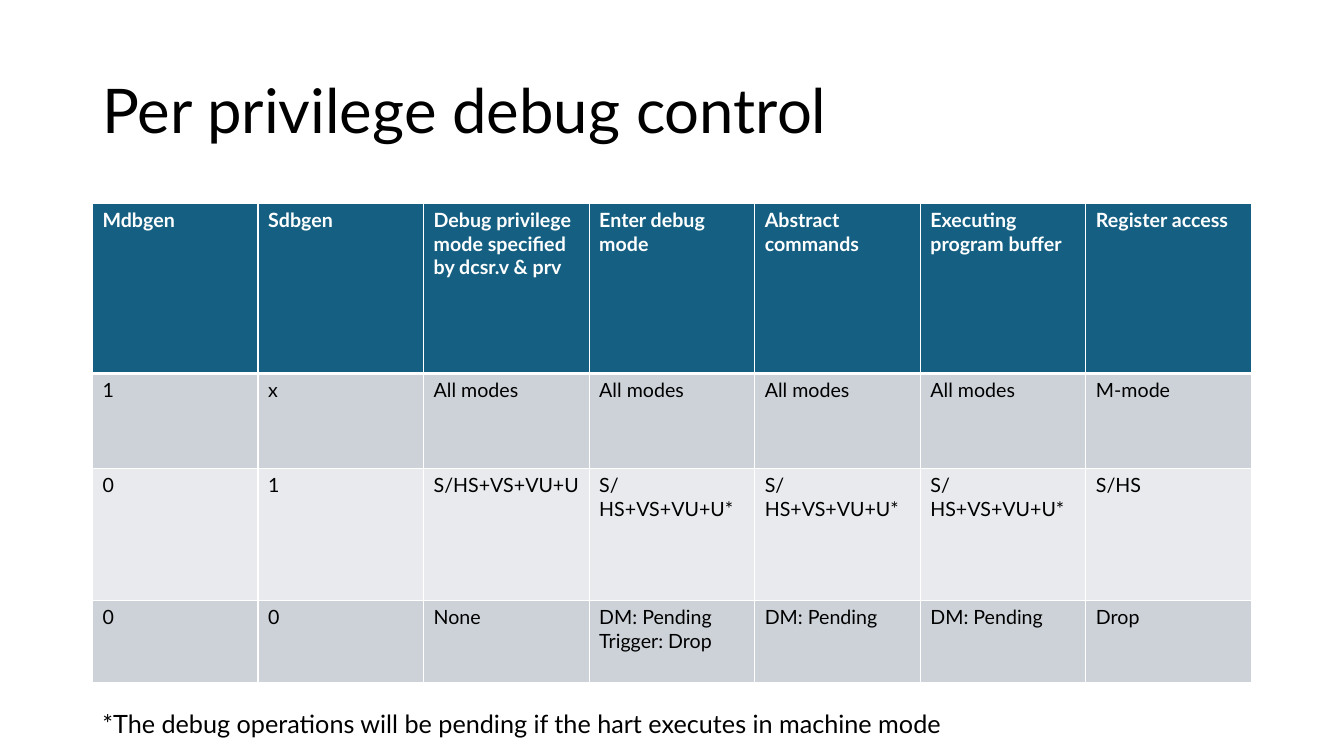
"""Build the slide on per privilege debug control."""
from lxml.etree import SubElement
from pptx import Presentation
from pptx.dml.color import RGBColor
from pptx.enum.text import MSO_ANCHOR
from pptx.oxml.ns import qn
from pptx.util import Inches, Pt

COLORS = {
    "text": "000000",
    "paper": "FFFFFF",
    "header": "156082",
    "odd": "CCD2D8",
    "even": "E8EAED",
}
LEFT, WIDTH = 6.88, 86.25
ROW_HEIGHTS = [22.53, 12.53, 17.47, 10.93]
LOWER_MODES = "S/HS+VS+VU+U"
PENDING = "DM: Pending"
PRIVILEGES = [
    ["Mdbgen", "Sdbgen", "Debug privilege mode specified by dcsr.v & prv",
     "Enter debug mode", "Abstract commands", "Executing program buffer",
     "Register access"],
    ["1", "x"] + ["All modes"] * 4 + ["M-mode"],
    ["0", "1", LOWER_MODES] + [LOWER_MODES + "*"] * 3 + ["S/HS"],
    ["0", "0", "None", PENDING + "\nTrigger: Drop", PENDING, PENDING, "Drop"],
]


def write(frame, text, size=14, color="text", bold=False, spacing=1.0):
    frame.word_wrap = True
    frame.text = text
    for paragraph in frame.paragraphs:
        paragraph.line_spacing = spacing
        font = paragraph.runs[0].font
        font.name, font.size, font.bold = "Lato", Pt(size), bold
        font.color.rgb = RGBColor.from_string(COLORS[color])


class DebugSlide:
    """Draws on one slide, with lengths as percentages of its size."""

    def __init__(self, deck):
        self.deck = deck
        self.slide = deck.slides.add_slide(deck.slide_layouts[6])

    def across(self, percent):
        return round(self.deck.slide_width * percent / 100)

    def down(self, percent):
        return round(self.deck.slide_height * percent / 100)

    def box(self, left, top, width, height):
        return (self.across(left), self.down(top),
                self.across(width), self.down(height))

    def text(self, words, top, width, height, anchor=MSO_ANCHOR.TOP, **style):
        frame = self.slide.shapes.add_textbox(
            *self.box(LEFT, top, width, height)).text_frame
        frame.vertical_anchor = anchor
        write(frame, words, **style)

    def border(self, cell, side, points):
        line = SubElement(cell._tc.get_or_add_tcPr(), qn(f"a:ln{side}"),
                          w=str(Pt(points)))
        fill = SubElement(line, qn("a:solidFill"))
        SubElement(fill, qn("a:srgbClr"), val=COLORS["paper"])

    def table(self, rows, heights, top):
        grid = self.slide.shapes.add_table(
            len(rows), len(rows[0]),
            *self.box(LEFT, top, WIDTH, sum(heights))).table
        for index, (row, height) in enumerate(zip(rows, heights)):
            grid.rows[index].height = self.down(height)
            header = index == 0
            band = "header" if header else "odd" if index % 2 else "even"
            widths = {"L": 1, "R": 1, "T": 3 if index == 1 else 1,
                      "B": 3 if header else 1}
            for column, words in enumerate(row):
                cell = grid.cell(index, column)
                write(cell.text_frame, words, bold=header,
                      color="paper" if header else "text")
                for side, points in widths.items():
                    self.border(cell, side, points)
                cell.fill.solid()
                cell.fill.fore_color.rgb = RGBColor.from_string(COLORS[band])


def main():
    deck = Presentation()
    deck.slide_width, deck.slide_height = Inches(13.33), Inches(7.5)
    page = DebugSlide(deck)
    page.text("Per privilege debug control", 5.33, WIDTH, 19.33,
              anchor=MSO_ANCHOR.MIDDLE, size=44, spacing=0.9)
    page.table(PRIVILEGES, ROW_HEIGHTS, 26.87)
    page.text("*The debug operations will be pending if the hart executes "
              "in machine mode", 93.07, 72.47, 5.33, size=18)
    deck.save("out.pptx")


if __name__ == "__main__":
    main()
